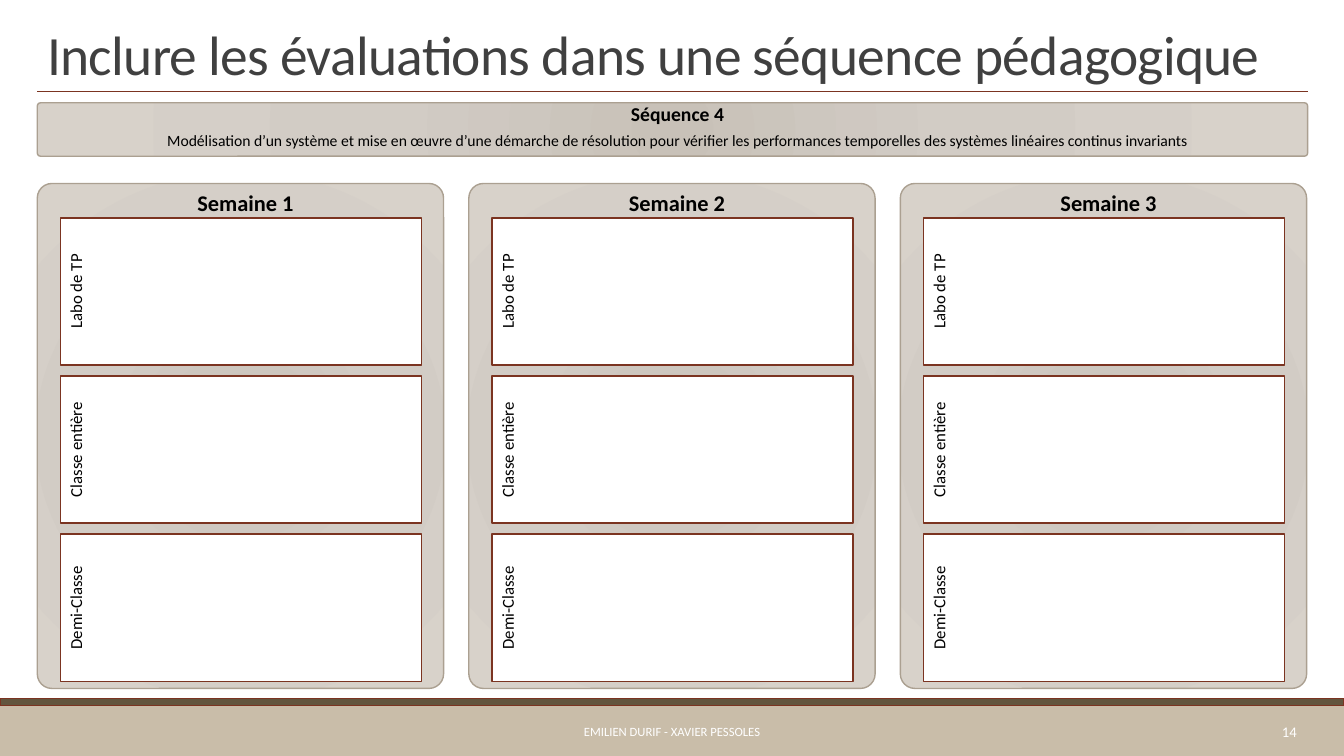
from lxml import etree
from pptx import Presentation
from pptx.dml.color import RGBColor
from pptx.enum import shapes, text
from pptx.oxml import parse_xml
from pptx.oxml.ns import nsdecls, qn
from pptx.util import Inches, Pt

FONT = "Calibri"
SAND = RGBColor(0xC9, 0xBD, 0xA9)
OLIVE = RGBColor(0x62, 0x55, 0x3E)
RUST = RGBColor(0x7B, 0x34, 0x21)
TAUPE = RGBColor(0xAB, 0xA0, 0x91)
GREY = RGBColor(0x40, 0x40, 0x40)
WHITE = RGBColor(0xFF, 0xFF, 0xFF)
BLACK = RGBColor(0, 0, 0)
PANEL_STOPS = [
    (0, RGBColor(0xC8, 0xC1, 0xB8)),
    (45, RGBColor(0xD2, 0xCC, 0xC5)),
    (100, RGBColor(0xD8, 0xD2, 0xCA)),
]

LEFT, WIDTH = 0.37, 12.6
WEEK_W, WEEK_STEP = 4.03, 4.28
BOX_W, BOX_H = 1.46, 3.58  # before the quarter turn
BOX_STEP = 1.57

prs = Presentation()
prs.slide_width, prs.slide_height = Inches(13.33), Inches(7.5)
s = prs.slides.add_slide(prs.slide_layouts[6])


def add_box(kind, x, y, w, h, fill=None, line=None, line_w=1.25, adj=None):
    """Add a shape; without a fill colour it gets the radial panel gradient."""
    sp = s.shapes.add_shape(kind, Inches(x), Inches(y), Inches(w), Inches(h))
    sp.shadow.inherit = False
    if fill is not None:
        sp.fill.solid()
        sp.fill.fore_color.rgb = fill
    else:
        stops = "".join(
            f'<a:gs pos="{pos * 1000}"><a:srgbClr val="{color}"/></a:gs>'
            for pos, color in PANEL_STOPS)
        sp._element.spPr.find(qn("a:prstGeom")).addnext(parse_xml(
            f'<a:gradFill {nsdecls("a")} rotWithShape="1"><a:gsLst>{stops}</a:gsLst>'
            '<a:path path="circle"><a:fillToRect l="100000" t="100000" r="100000" b="100000"/>'
            '</a:path></a:gradFill>'))
    if line is None:
        sp.line.fill.background()
    else:
        sp.line.color.rgb = line
        sp.line.width = Pt(line_w)
    if adj is not None:
        sp.adjustments[0] = adj
        sp.text_frame.margin_left = sp.text_frame.margin_right = 0
    sp.text_frame.word_wrap = True
    sp.text_frame.vertical_anchor = text.MSO_ANCHOR.TOP
    return sp


def write(p, words, size, color, align=text.PP_ALIGN.CENTER, bold=False, panel=None):
    """Fill a paragraph; panel is (line spacing, space before) for panel text."""
    p.alignment = align
    if panel:
        p.line_spacing = panel[0]
        p.space_before, p.space_after = Pt(panel[1]), Pt(2)
        p._p.get_or_add_pPr().set("marL", str(Inches(0.1)))
    r = p.add_run()
    r.text = words
    r.font.name, r.font.size, r.font.bold = FONT, Pt(size), bold
    r.font.color.rgb = color
    return r


# Footer bands and title rule
add_box(shapes.MSO_SHAPE.RECTANGLE, 0, 7, 13.33, 0.5, SAND)
add_box(shapes.MSO_SHAPE.RECTANGLE, 0, 6.93, 13.33, 0.07, OLIVE, RUST)
rule = s.shapes.add_connector(shapes.MSO_CONNECTOR.STRAIGHT, Inches(LEFT), Inches(0.91),
                              Inches(LEFT + WIDTH), Inches(0.91))
rule.line.color.rgb = RUST
rule.line.width = Pt(0.5)
etree.SubElement(rule._element.spPr, qn("a:effectLst"))

# Title, authors and slide number
captions = [
    ("Inclure les évaluations dans une séquence pédagogique", LEFT, 0.04, WIDTH, 0.87,
     39.6, GREY, text.PP_ALIGN.LEFT, text.MSO_ANCHOR.BOTTOM, -50),
    ("EMILIEN DURIF - XAVIER PESSOLES", 2.73, 7.06, 7.87, 0.4,
     9, WHITE, text.PP_ALIGN.CENTER, text.MSO_ANCHOR.MIDDLE, 0),
    ("14", 11.39, 7.06, 1.57, 0.4,
     10.5, WHITE, text.PP_ALIGN.RIGHT, text.MSO_ANCHOR.MIDDLE, 0),
]
for words, x, y, w, h, size, color, align, anchor, spacing in captions:
    tf = s.shapes.add_textbox(Inches(x), Inches(y), Inches(w), Inches(h)).text_frame
    tf.word_wrap = True
    tf.vertical_anchor = anchor
    r = write(tf.paragraphs[0], words, size, color, align)
    if spacing:
        r._r.get_or_add_rPr().set("spc", str(spacing))

# Sequence banner
tf = add_box(shapes.MSO_SHAPE.ROUNDED_RECTANGLE, LEFT, 1.02, WIDTH, 0.53,
             line=TAUPE, line_w=1, adj=0.061).text_frame
write(tf.paragraphs[0], "Séquence 4", 14, BLACK, bold=True, panel=(0.7, 12))
write(tf.add_paragraph(),
      "Modélisation d’un système et mise en œuvre d’une démarche de résolution pour vérifier "
      "les performances temporelles des systèmes linéaires continus invariants",
      11.2, BLACK, panel=(0.7, 6))

# One panel per week, one turned box per kind of session
for week in range(3):
    x = LEFT + week * WEEK_STEP
    panel = add_box(shapes.MSO_SHAPE.ROUNDED_RECTANGLE, x, 1.82, WEEK_W, 5.01,
                    line=TAUPE, line_w=1, adj=0.036)
    write(panel.text_frame.paragraphs[0], f"Semaine {week + 1}", 16, BLACK,
          bold=True, panel=(0.9, 12))
    for row, session in enumerate(["Labo de TP", "Classe entière", "Demi-Classe"]):
        box = add_box(shapes.MSO_SHAPE.RECTANGLE, x + 1.29, 1.1 + row * BOX_STEP,
                      BOX_W, BOX_H, WHITE, RUST)
        box.rotation = 270
        write(box.text_frame.paragraphs[0], session, 12, BLACK)

prs.save("out.pptx")
